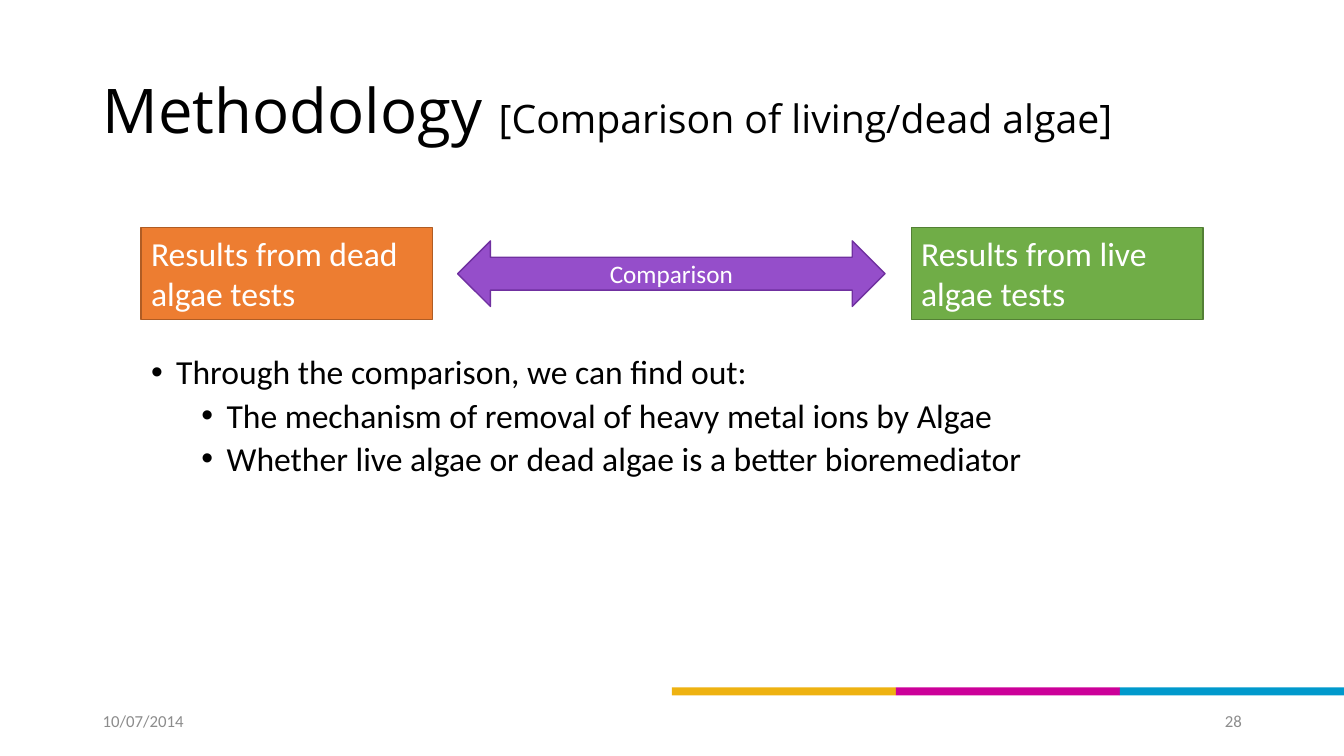
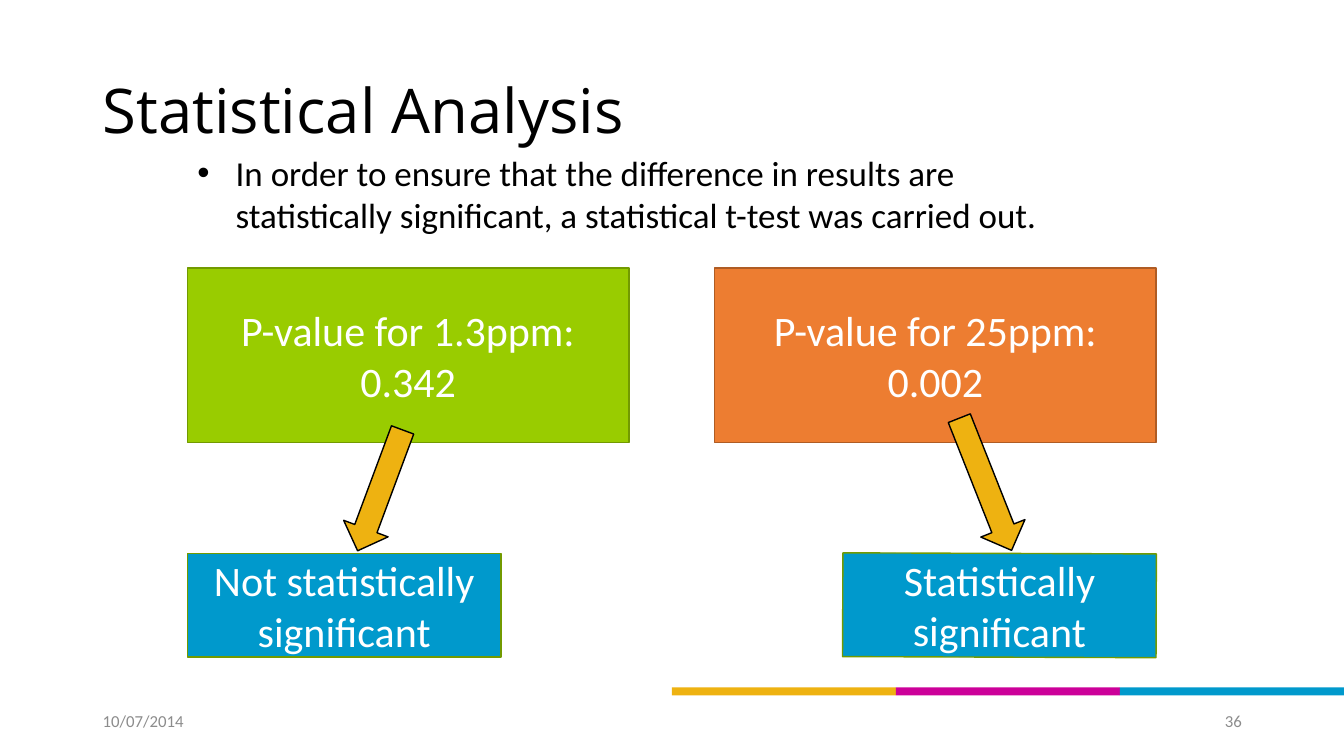
from dataclasses import dataclass
from typing import Any, Optional

from lxml import etree
from pptx import Presentation
from pptx.dml.color import RGBColor
from pptx.enum.shapes import MSO_SHAPE
from pptx.enum.text import MSO_ANCHOR, MSO_AUTO_SIZE, PP_ALIGN
from pptx.oxml.ns import qn
from pptx.util import Emu, Inches, Pt

RECT = MSO_SHAPE.RECTANGLE
ARROW = MSO_SHAPE.RIGHT_ARROW
DOUBLE_ARROW = MSO_SHAPE.LEFT_RIGHT_ARROW
TOP, MIDDLE = MSO_ANCHOR.TOP, MSO_ANCHOR.MIDDLE
LEFT, CENTER, RIGHT = PP_ALIGN.LEFT, PP_ALIGN.CENTER, PP_ALIGN.RIGHT

W, H = Inches(13.33), Inches(7.5)
BODY_FONT, TITLE_FONT = "Calibri", "Open Sans"
BLACK, WHITE, GREY = "000000", "FFFFFF", "8C8C8C"
YELLOW, MAGENTA, BLUE = "EEB211", "CC0099", "0099CC"
ORANGE, ORANGE_LINE = "ED7D31", "AF5C24"
GREEN, GREEN_LINE = "70AD47", "538035"
LIME, LIME_LINE = "99CC00", "729A00"
PURPLE, PURPLE_LINE = "954ECA", "7030A0"
DATE = "10/07/2014"


@dataclass(frozen=True)
class Box:
    """A frame in percent of the slide's width (x, w) and height (y, h)."""
    x: float
    y: float
    w: float
    h: float

    def emu(self) -> tuple[Emu, ...]:
        shares = ((self.x, W), (self.y, H), (self.w, W), (self.h, H))
        return tuple(Emu(round(share * full / 100)) for share, full in shares)


@dataclass(frozen=True)
class Block:
    box: Box
    fill: str
    line: Optional[str] = None
    lines: tuple[str, ...] = ()
    size: float = 30
    kind: Any = RECT
    align: Any = CENTER
    anchor: Any = MIDDLE
    rotation: float = 0


@dataclass(frozen=True)
class Bullet:
    text: str
    size: float = 24
    level: int = 0
    margin: float = 0.25
    hang: float = 0.25
    before: float = 0
    spacing: float = 0.9


TITLE_BOX = Box(6.9, 5.33, 86.25, 19.33)
DATE_BOX = Box(6.9, 92.67, 22.5, 5.33)
NUMBER_BOX = Box(70.65, 92.67, 22.5, 5.33)


def rgb(color: str) -> RGBColor:
    return RGBColor.from_string(color)


def set_attrs(target: Any, values: dict[str, Any]) -> None:
    for name, value in values.items():
        setattr(target, name, value)


def style_font(font: Any, size: float, color: str, name: str = BODY_FONT) -> None:
    set_attrs(font, {"name": name, "size": Pt(size), "bold": False})
    font.color.rgb = rgb(color)


def set_frame(tf: Any, anchor: Any) -> None:
    set_attrs(tf, {"word_wrap": True, "auto_size": MSO_AUTO_SIZE.NONE,
                   "vertical_anchor": anchor})


def add_run(p: Any, text: str, size: float, color: str, name: str = BODY_FONT) -> None:
    r = p.add_run()
    r.text = text
    style_font(r.font, size, color, name)


def paragraph(tf: Any, index: int) -> Any:
    return tf.add_paragraph() if index else tf.paragraphs[0]


def add_lines(tf: Any, lines: tuple[str, ...], size: float, color: str,
              align: Any, anchor: Any) -> None:
    set_frame(tf, anchor)
    for i, text in enumerate(lines):
        p = paragraph(tf, i)
        p.alignment = align
        add_run(p, text, size, color)


def add_block(s: Any, block: Block) -> None:
    sp = s.shapes.add_shape(block.kind, *block.box.emu())
    sp.shadow.inherit = False
    sp.rotation = block.rotation
    sp.fill.solid()
    sp.fill.fore_color.rgb = rgb(block.fill)
    if block.line:
        sp.line.color.rgb = rgb(block.line)
        sp.line.width = Pt(1)
    else:
        sp.line.fill.background()
    add_lines(sp.text_frame, block.lines, block.size, WHITE, block.align, block.anchor)


def add_bullets(s: Any, box: Box, bullets: list[Bullet]) -> None:
    tf = s.shapes.add_textbox(*box.emu()).text_frame
    set_frame(tf, TOP)
    for i, bullet in enumerate(bullets):
        p = paragraph(tf, i)
        pPr = p._p.get_or_add_pPr()
        pPr.set("marL", str(Inches(bullet.margin)))
        pPr.set("indent", str(-Inches(bullet.hang)))
        etree.SubElement(pPr, qn("a:buFont")).set("typeface", "Arial")
        etree.SubElement(pPr, qn("a:buChar")).set("char", "•")
        set_attrs(p, {"level": bullet.level, "line_spacing": bullet.spacing,
                      "space_before": Pt(bullet.before)})
        add_run(p, bullet.text, bullet.size, BLACK)


def add_footer(s: Any, number: str) -> None:
    stripe = 50 / 3
    for i, color in enumerate((YELLOW, MAGENTA, BLUE)):
        add_block(s, Block(Box(50 + i * stripe, 90.93, stripe, 1.07), color))
    for box, text, align in ((DATE_BOX, DATE, LEFT), (NUMBER_BOX, number, RIGHT)):
        tf = s.shapes.add_textbox(*box.emu()).text_frame
        add_lines(tf, (text,), 12, GREY, align, MIDDLE)


def add_slide(prs: Any, number: str, title: str, subtitle: str = "") -> Any:
    s = prs.slides.add_slide(prs.slide_layouts[5])
    sp = s.shapes.title
    frame = zip(("left", "top", "width", "height"), TITLE_BOX.emu())
    set_attrs(sp, dict(frame))
    set_frame(sp.text_frame, MIDDLE)
    p = sp.text_frame.paragraphs[0]
    set_attrs(p, {"alignment": LEFT, "line_spacing": 0.9})
    add_run(p, title, 44, BLACK, TITLE_FONT)
    if subtitle:
        add_run(p, subtitle, 28, BLACK, TITLE_FONT)
    add_footer(s, number)
    return s


def add_methodology(prs: Any) -> None:
    s = add_slide(prs, "28", "Methodology ", "[Comparison of living/dead algae]")
    left, width, result_w = 10.5, 79, 21.7
    results = (
        (left, "Results from dead algae tests", ORANGE, ORANGE_LINE),
        (left + width - result_w, "Results from live algae tests", GREEN, GREEN_LINE),
    )
    for x, text, fill, line in results:
        add_block(s, Block(Box(x, 30.13, result_w, 12.13), fill, line, (text,),
                           size=24, align=LEFT, anchor=TOP))
    add_block(s, Block(Box(34.05, 31.87, 31.8, 8.67), PURPLE, PURPLE_LINE,
                       ("Comparison",), size=18, kind=DOUBLE_ARROW))
    add_bullets(s, Box(left, 46.4, width, 39.6), [
        Bullet("Through the comparison, we can find out:"),
        Bullet("The mechanism of removal of heavy metal ions by Algae",
               level=1, margin=0.75, before=5),
        Bullet("Whether live algae or dead algae is a better bioremediator",
               level=1, margin=0.75, before=5),
    ])


def add_statistics(prs: Any) -> None:
    s = add_slide(prs, "36", "Statistical Analysis")
    left, right = 13.95, 86.03
    value_w, verdict_w = 32.85, 23.33
    add_bullets(s, Box(left, 19.33, 68.55, 12.53), [
        Bullet("In order to ensure that the difference in results are statistically "
               "significant, a statistical t-test was carried out.",
               size=25, margin=0.38, hang=0.38, spacing=1),
    ])
    values = (
        (left, ("P-value for 1.3ppm:", "0.342"), LIME, LIME_LINE),
        (right - value_w, ("P-value for 25ppm:", "0.002"), ORANGE, ORANGE_LINE),
    )
    for x, lines, fill, line in values:
        add_block(s, Block(Box(x, 35.47, value_w, 23.07), fill, line, lines))
    verdicts = (
        (left, "Not statistically significant", 0),
        (right - verdict_w, "Statistically significant", 0.2),
    )
    for x, text, rotation in verdicts:
        add_block(s, Block(Box(x, 73.2, verdict_w, 13.73), BLUE, LIME_LINE, (text,),
                           rotation=rotation))
    arrows = ((Box(68.03, 60.93, 10.58, 6.27), 68.4),
              (Box(23.48, 61.73, 9.6, 6.27), 110.4))
    for box, rotation in arrows:
        add_block(s, Block(box, YELLOW, BLACK, kind=ARROW, rotation=rotation))


def main() -> None:
    prs = Presentation()
    set_attrs(prs, {"slide_width": W, "slide_height": H})
    add_methodology(prs)
    add_statistics(prs)
    prs.save("out.pptx")


if __name__ == "__main__":
    main()
